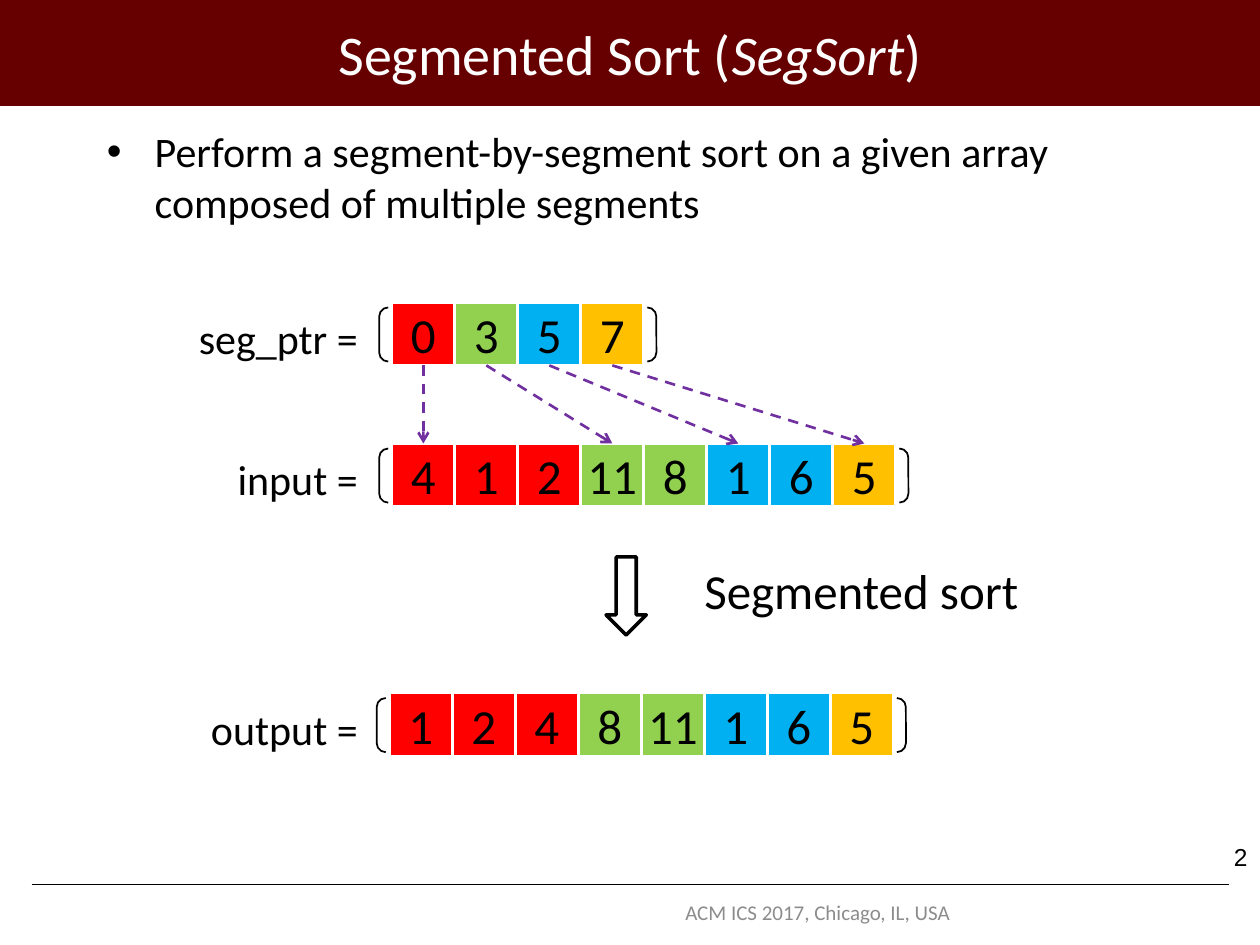
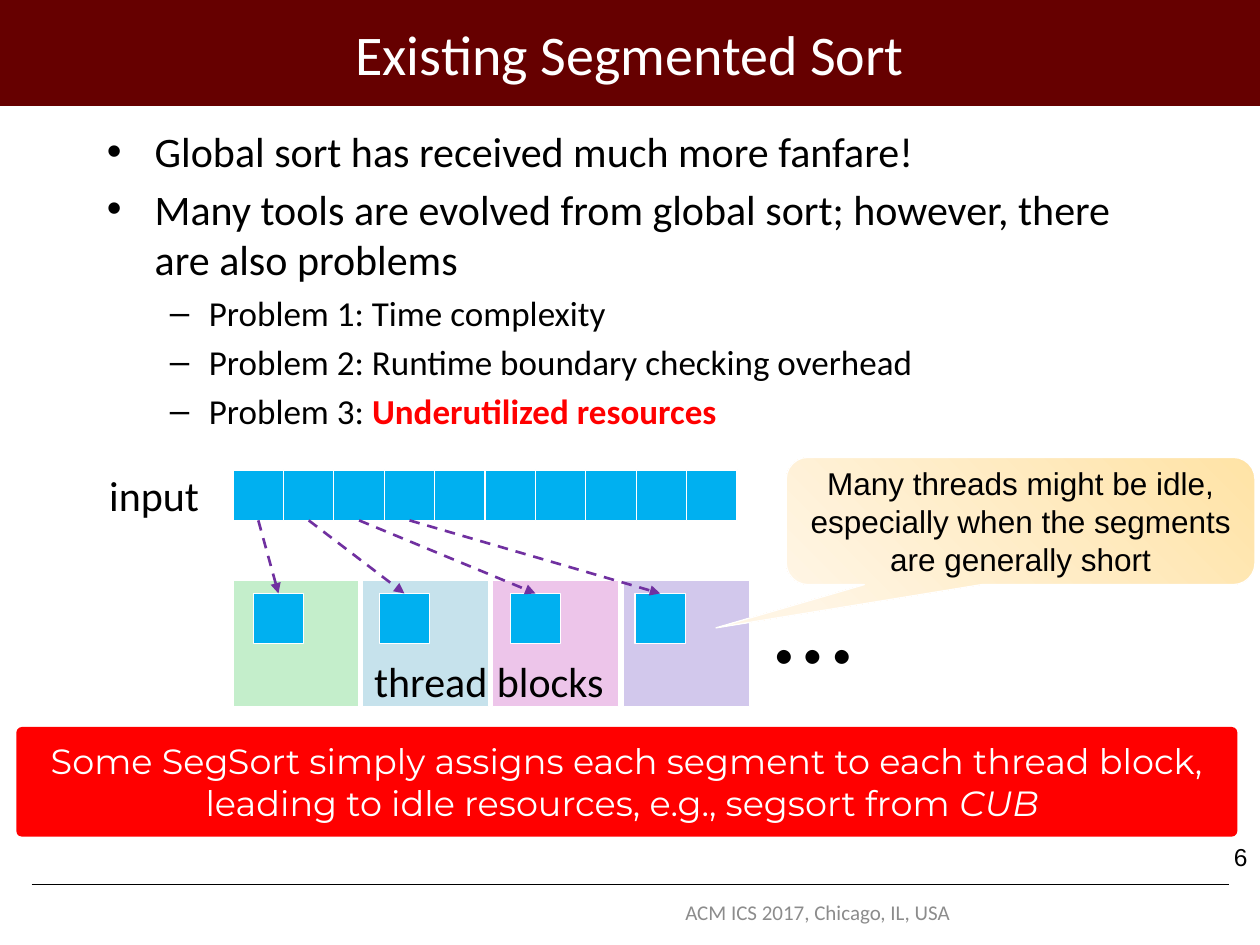
from dataclasses import dataclass
from typing import NamedTuple

import lxml.etree
import pptx
import pptx.dml.color
import pptx.enum.dml
import pptx.enum.shapes
import pptx.enum.text
import pptx.oxml.ns
import pptx.util

SCALE = 9144
KIND = pptx.enum.shapes.MSO_SHAPE
ALIGN = pptx.enum.text.PP_ALIGN
ANCHOR = pptx.enum.text.MSO_ANCHOR

BLACK, WHITE, MAROON, GRAY = "000000", "FFFFFF", "660000", "8C8C8C"
RED, GREEN, BLUE, GOLD, PURPLE = "FF0000", "92D050", "00B0F0", "FFC000", "7030A0"
CELL = 50
UNIT = 40


class Box(NamedTuple):
    left: int
    top: int
    width: int
    height: int


class Span(NamedTuple):
    text: str
    color: str = ""
    bold: bool = False
    slant: bool = False


@dataclass
class Style:
    size: int
    color: str = BLACK
    font: str = "Calibri"
    align: ALIGN = ALIGN.CENTER
    anchor: ANCHOR = ANCHOR.MIDDLE
    inset: bool = True


@dataclass
class Row:
    name: str
    left: int
    top: int
    cells: list[tuple[int, str]]


@dataclass
class Point:
    spans: list[Span]
    level: int = 0


class Level(NamedTuple):
    size: int
    margin: int
    hang: int
    mark: str


LEVELS = [Level(24, 38, 38, "•"), Level(20, 81, 31, "–")]
LABEL = Style(24, align=ALIGN.RIGHT, anchor=ANCHOR.TOP, inset=False)
DIGIT = Style(28, inset=False)


def px(value: int) -> int:
    return value * SCALE


def rgb(code: str) -> pptx.dml.color.RGBColor:
    return pptx.dml.color.RGBColor.from_string(code)


def child(node, tag: str, **attrs: str) -> None:
    lxml.etree.SubElement(node, pptx.oxml.ns.qn(tag), **attrs)


def fill_line(para, spans: list[Span], style: Style) -> None:
    para.text = spans[0].text
    para.alignment = style.align
    for span in spans[1:]:
        para.add_run().text = span.text
    for run, span in zip(para.runs, spans):
        run.font.name = style.font
        run.font.size = pptx.util.Pt(style.size)
        run.font.color.rgb = rgb(span.color or style.color)
        run.font.bold = span.bold
        run.font.italic = span.slant


def write(shape, spans: list[Span], style: Style) -> None:
    frame = shape.text_frame
    frame.word_wrap = True
    frame.vertical_anchor = style.anchor
    if not style.inset:
        frame.margin_left = frame.margin_right = 0
        frame.margin_top = frame.margin_bottom = 0
    fill_line(frame.paragraphs[0], spans, style)


def label(slide, box: Box, spans: list[Span], style: Style) -> None:
    write(slide.shapes.add_textbox(*map(px, box)), spans, style)


def draw(slide, kind: KIND, box: Box, fill: str = "", edge: str = "", weight: float = 0.75):
    shape = slide.shapes.add_shape(kind, *map(px, box))
    shape.shadow.inherit = False
    if fill:
        shape.fill.solid()
        shape.fill.fore_color.rgb = rgb(fill)
    else:
        shape.fill.background()
    if edge:
        shape.line.color.rgb = rgb(edge)
        shape.line.width = pptx.util.Pt(weight)
    else:
        shape.line.fill.background()
    return shape


def line(slide, ends: tuple[int, int, int, int], color: str, weight: float):
    link = slide.shapes.add_connector(
        pptx.enum.shapes.MSO_CONNECTOR.STRAIGHT, *map(px, ends))
    link.line.color.rgb = rgb(color)
    link.line.width = pptx.util.Pt(weight)
    child(link._element.spPr, "a:effectLst")
    return link


def arrow(slide, start, end, head: str) -> None:
    link = line(slide, (0, 0, 0, 0), PURPLE, 1.5)
    link.begin_connect(start, 2)
    link.end_connect(end, 0)
    link.line.dash_style = pptx.enum.dml.MSO_LINE.DASH
    child(link._element.spPr.find(pptx.oxml.ns.qn("a:ln")), "a:tailEnd", type=head)


def bullets(slide, points: list[Point]) -> None:
    frame = slide.shapes.add_textbox(*map(px, Box(75, 95, 850, 595))).text_frame
    frame.word_wrap = True
    for i, point in enumerate(points):
        level = LEVELS[point.level]
        para = frame.add_paragraph() if i else frame.paragraphs[0]
        fill_line(para, point.spans, Style(level.size, align=ALIGN.LEFT))
        para.level = point.level
        para.space_before = pptx.util.Pt(level.size // 5)
        props = para._p.get_or_add_pPr()
        props.set("marL", str(px(level.margin)))
        props.set("indent", str(px(-level.hang)))
        child(props, "a:buFont", typeface="Arial")
        child(props, "a:buChar", char=level.mark)


def page(deck, title: list[Span], number: int, points: list[Point]):
    slide = deck.slides.add_slide(deck.slide_layouts[6])
    line(slide, (25, 702, 975, 702), BLACK, 0.25)
    draw(slide, KIND.RECTANGLE, Box(0, 0, 1000, 84), MAROON)
    label(slide, Box(75, 1, 850, 83), title, Style(32, WHITE))
    bullets(slide, points)
    label(slide, Box(950, 663, 50, 50), [Span(str(number))],
          Style(14, font="Arial", align=ALIGN.RIGHT, anchor=ANCHOR.TOP))
    label(slide, Box(480, 709, 338, 29), [Span("ACM ICS 2017, Chicago, IL, USA")],
          Style(12, GRAY))
    return slide


def array(slide, row: Row) -> list:
    label(slide, Box(111, row.top + 8, 173, 40), [Span(f"{row.name} =")], LABEL)
    cells = []
    for i, (value, color) in enumerate(row.cells):
        box = Box(row.left + i * CELL, row.top, CELL, CELL)
        cell = draw(slide, KIND.RECTANGLE, box, color, WHITE, 1.5)
        write(cell, [Span(str(value))], DIGIT)
        cells.append(cell)
    width = len(cells) * CELL + 20
    draw(slide, KIND.DOUBLE_BRACKET, Box(row.left - 10, row.top + 4, width, 43),
         edge=BLACK, weight=1)
    return cells


def tile(slide, left: int, top: int):
    return draw(slide, KIND.RECTANGLE, Box(left, top, UNIT, UNIT), BLUE, WHITE)


def sort_page(deck) -> None:
    slide = page(deck, [Span("Segmented Sort ("), Span("SegSort", slant=True), Span(")")], 2, [
        Point([Span("Perform a segment-by-segment sort on a given array "
                    "composed of multiple segments")])])
    hues = [RED] * 3 + [GREEN] * 2 + [BLUE] * 2 + [GOLD]
    starts = [0, 3, 5, 7]
    data = array(slide, Row("input", 311, 352, list(zip([4, 1, 2, 11, 8, 1, 6, 5], hues))))
    heads = array(slide, Row("seg_ptr", 311, 240, [(n, hues[n]) for n in starts]))
    for head, n in zip(heads, starts):
        arrow(slide, head, data[n], "arrow")
    array(slide, Row("output", 309, 550, list(zip([1, 2, 4, 8, 11, 1, 6, 5], hues))))
    draw(slide, KIND.DOWN_ARROW, Box(481, 442, 32, 62), WHITE, BLACK, 2)
    label(slide, Box(559, 445, 278, 47), [Span("Segmented sort")],
          Style(28, align=ALIGN.LEFT, anchor=ANCHOR.TOP, inset=False))


def callout(slide) -> None:
    note = draw(slide, KIND.ROUNDED_RECTANGULAR_CALLOUT, Box(624, 363, 372, 101),
                edge=WHITE)
    for i, value in enumerate([-0.65, 0.84, 0.17]):
        note.adjustments[i] = value
    note.fill.gradient()
    note.fill.gradient_angle = 225
    for stop, color in zip(note.fill.gradient_stops, ["FFE3A6", "FFF5E4"]):
        stop.color.rgb = rgb(color)
    write(note, [Span("Many threads might be idle, especially when the segments "
                      "are generally short")], Style(18, font="Arial"))


def tools_page(deck) -> None:
    slide = page(deck, [Span("Existing Segmented Sort")], 6, [
        Point([Span("Global sort has received much more fanfare!")]),
        Point([Span("Many tools are evolved from global sort; however, there "
                    "are also problems")]),
        Point([Span("Problem 1: Time complexity")], 1),
        Point([Span("Problem 2: Runtime boundary checking overhead")], 1),
        Point([Span("Problem 3: "), Span("Underutilized resources", RED, bold=True)], 1)])
    data = [tile(slide, 185 + i * UNIT, 373) for i in range(10)]
    label(slide, Box(75, 373, 83, 40), [Span("input")], LABEL)
    for i, color in enumerate(["C4EECB", "C6E2EC", "EDC5EA", "D2C8EC"]):
        draw(slide, KIND.RECTANGLE, Box(185 + i * 310 // 3, 461, 100, 100), color, WHITE)
    label(slide, Box(267, 515, 242, 50), [Span("thread blocks")],
          Style(24, anchor=ANCHOR.TOP))
    label(slide, Box(604, 430, 113, 121), [Span("…")],
          Style(66, align=ALIGN.LEFT, anchor=ANCHOR.TOP))
    callout(slide)
    tasks = [tile(slide, left, 471) for left in (201, 301, 405, 504)]
    for start, end in zip(data, tasks):
        arrow(slide, start, end, "triangle")
    bar = draw(slide, KIND.ROUNDED_RECTANGLE, Box(13, 577, 969, 87), RED)
    bar.adjustments[0] = 0.05
    write(bar, [Span("Some SegSort simply assigns each segment to each thread block, "
                     "leading to idle resources, e.g., segsort from "),
                Span("CUB ", slant=True)], Style(20, WHITE, "Montserrat"))


def main() -> None:
    deck = pptx.Presentation()
    deck.slide_width, deck.slide_height = px(1000), px(750)
    sort_page(deck)
    tools_page(deck)
    deck.save("out.pptx")


if __name__ == "__main__":
    main()
